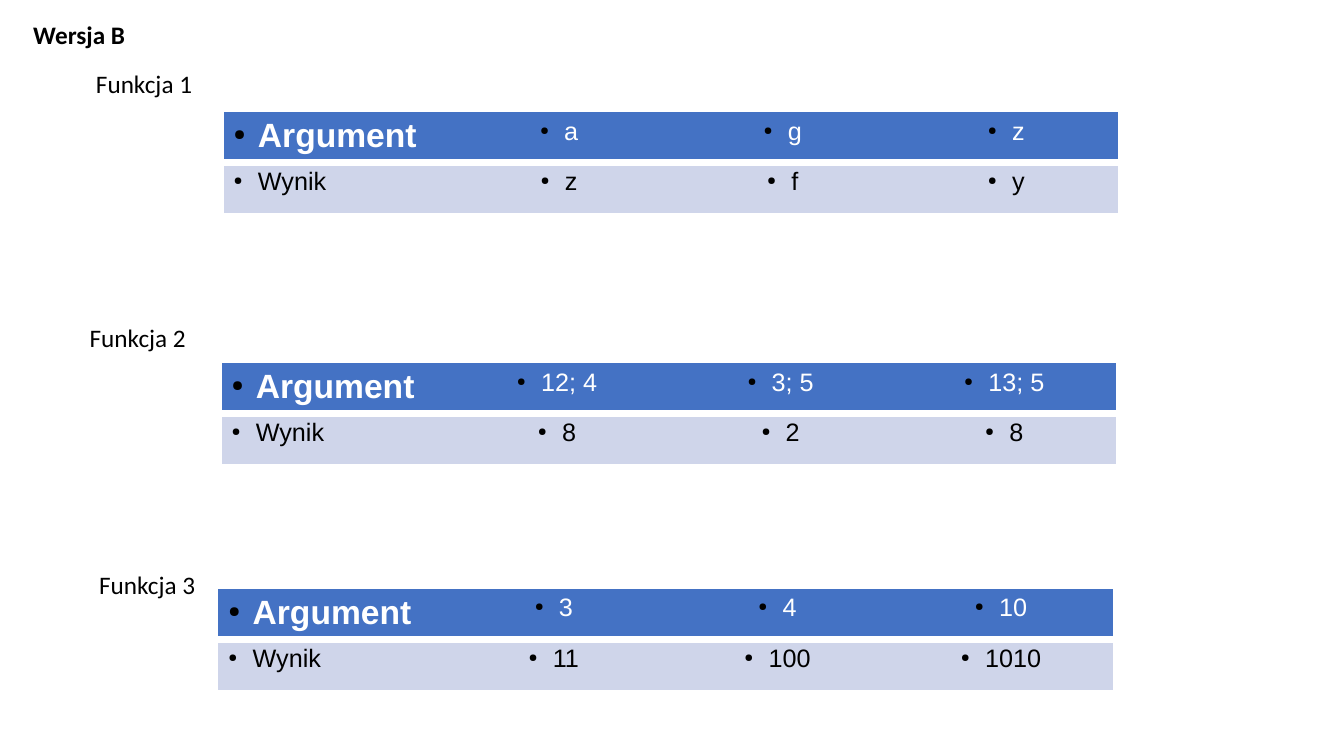
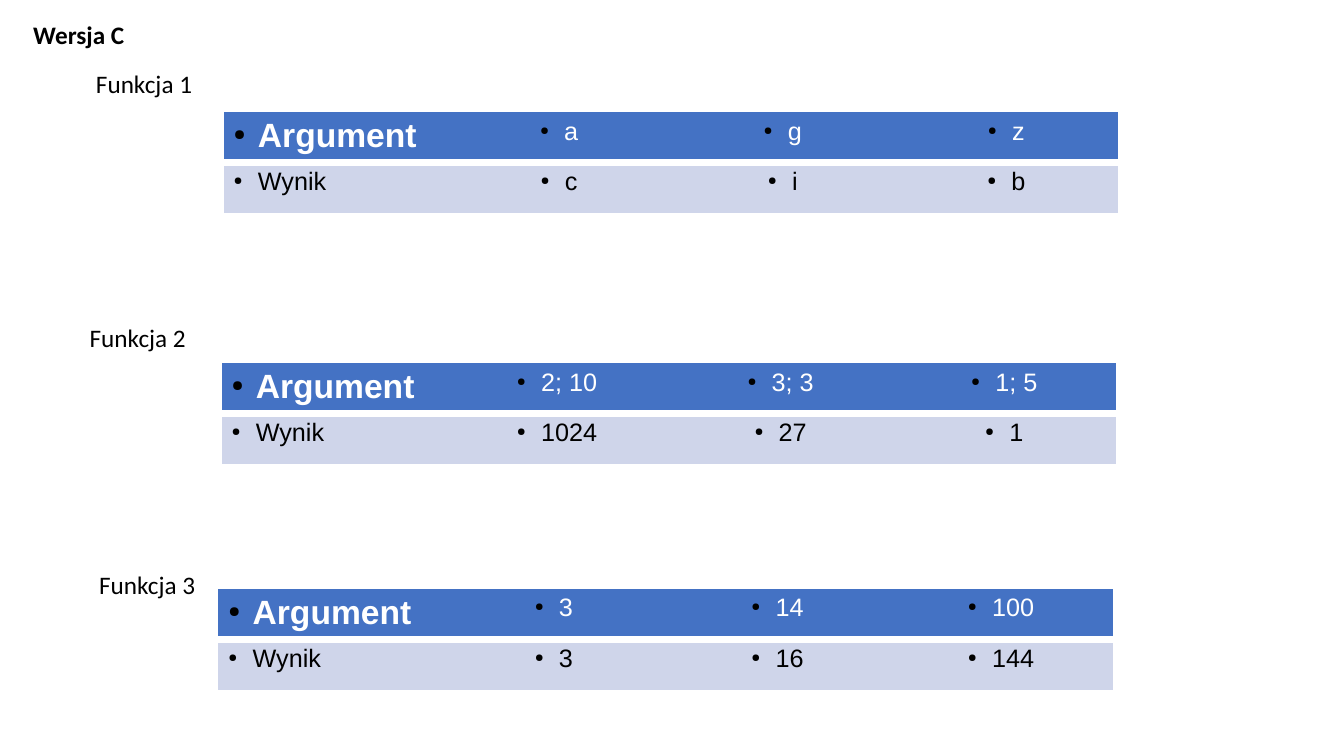
import lxml.etree
import pptx
import pptx.dml.color
import pptx.enum.text
import pptx.oxml.ns
import pptx.util

PX = 9525
WHITE = pptx.dml.color.RGBColor(0xFF, 0xFF, 0xFF)
BLACK = pptx.dml.color.RGBColor(0x00, 0x00, 0x00)
BLUE = pptx.dml.color.RGBColor(0x44, 0x72, 0xC4)
PALE = pptx.dml.color.RGBColor(0xCF, 0xD5, 0xEA)
PLAIN_GRID = "{2D5ABB26-0587-4C30-8999-92F81FD0307C}"

COL, ROW, INDENT = 213, 48, 23
RULE = 6  # points

TITLE_BOX = (22, 14, 108, 38)
# One pair per function: label box, table corner
PLACES = [
    ((82, 60, 170, 38), (213, 107)),
    ((76, 302, 135, 38), (211, 346)),
    ((85, 537, 131, 38), (208, 561)),
]
# Each function: arguments, results
SLIDES = [
    ("Wersja B", [
        (("a", "g", "z"), ("z", "f", "y")),
        (("12; 4", "3; 5", "13; 5"), ("8", "2", "8")),
        (("3", "4", "10"), ("11", "100", "1010")),
    ]),
    ("Wersja C", [
        (("a", "g", "z"), ("c", "i", "b")),
        (("2; 10", "3; 3", "1; 5"), ("1024", "27", "1")),
        (("3", "14", "100"), ("3", "16", "144")),
    ]),
]


def px(*sizes):
    return [pptx.util.Emu(size * PX) for size in sizes]


def add_xml(parent, tag, **attrs):
    return lxml.etree.SubElement(parent, pptx.oxml.ns.qn(tag), attrs)


def style(para, name, size, color, bold=False):
    font = para.font
    font.name = name
    font.size = pptx.util.Pt(size)
    font.bold = bold
    font.color.rgb = color


def add_bullet(para):
    props = para._p.get_or_add_pPr()
    props.set("marL", str(INDENT * PX))
    props.set("indent", str(-INDENT * PX))
    add_xml(add_xml(props, "a:buClr"), "a:srgbClr", val=str(BLACK))
    add_xml(props, "a:buSzPct", val="45000")
    add_xml(props, "a:buChar", char="●")


def add_rule(cell):
    """Draw a white line under the cell."""
    props = cell._tc.get_or_add_tcPr()
    line = add_xml(props, "a:lnB", w=str(pptx.util.Pt(RULE)))
    add_xml(add_xml(line, "a:solidFill"), "a:srgbClr", val=str(WHITE))
    props.insert(0, line)


def fill_cell(cell, text, head, first):
    cell.fill.solid()
    cell.fill.fore_color.rgb = BLUE if head else PALE
    if head:
        add_rule(cell)
    para = cell.text_frame.paragraphs[0]
    para.text = text
    add_bullet(para)
    align = pptx.enum.text.PP_ALIGN
    para.alignment = align.LEFT if first else align.CENTER
    big = head and first
    style(para, "Arial", 24 if big else 18, WHITE if head else BLACK, big)


def set_title(slide, text):
    title = slide.shapes.title
    title.left, title.top, title.width, title.height = px(*TITLE_BOX)
    frame = title.text_frame
    frame.word_wrap = False
    frame.auto_size = pptx.enum.text.MSO_AUTO_SIZE.SHAPE_TO_FIT_TEXT
    frame.vertical_anchor = pptx.enum.text.MSO_ANCHOR.TOP
    para = frame.paragraphs[0]
    para.text = text
    para.alignment = pptx.enum.text.PP_ALIGN.LEFT
    style(para, "Calibri", 18, BLACK, True)


def add_label(slide, box, text):
    frame = slide.shapes.add_textbox(*px(*box)).text_frame
    frame.word_wrap = True
    frame.auto_size = pptx.enum.text.MSO_AUTO_SIZE.SHAPE_TO_FIT_TEXT
    para = frame.paragraphs[0]
    para.text = text
    style(para, "Calibri", 18, BLACK)


def add_grid(slide, corner, args, results):
    rows = [("Argument", *args), ("Wynik", *results)]
    count = len(rows[0])
    shape = slide.shapes.add_table(
        len(rows), count, *px(*corner, COL * count, ROW * len(rows)))
    table = shape.table
    table.horz_banding = False
    for tag in shape.element.iter(pptx.oxml.ns.qn("a:tableStyleId")):
        tag.text = PLAIN_GRID
    for r, texts in enumerate(rows):
        for c, text in enumerate(texts):
            fill_cell(table.cell(r, c), text, r == 0, c == 0)


def add_version(deck, name, funcs):
    slide = deck.slides.add_slide(deck.slide_layouts[5])
    set_title(slide, name)
    pairs = zip(PLACES, funcs)
    for num, ((box, corner), (args, results)) in enumerate(pairs, 1):
        add_label(slide, box, f"Funkcja {num}")
        add_grid(slide, corner, args, results)


def main():
    deck = pptx.Presentation()
    deck.slide_width, deck.slide_height = px(1280, 720)
    for name, funcs in SLIDES:
        add_version(deck, name, funcs)
    deck.save("out.pptx")


if __name__ == "__main__":
    main()
